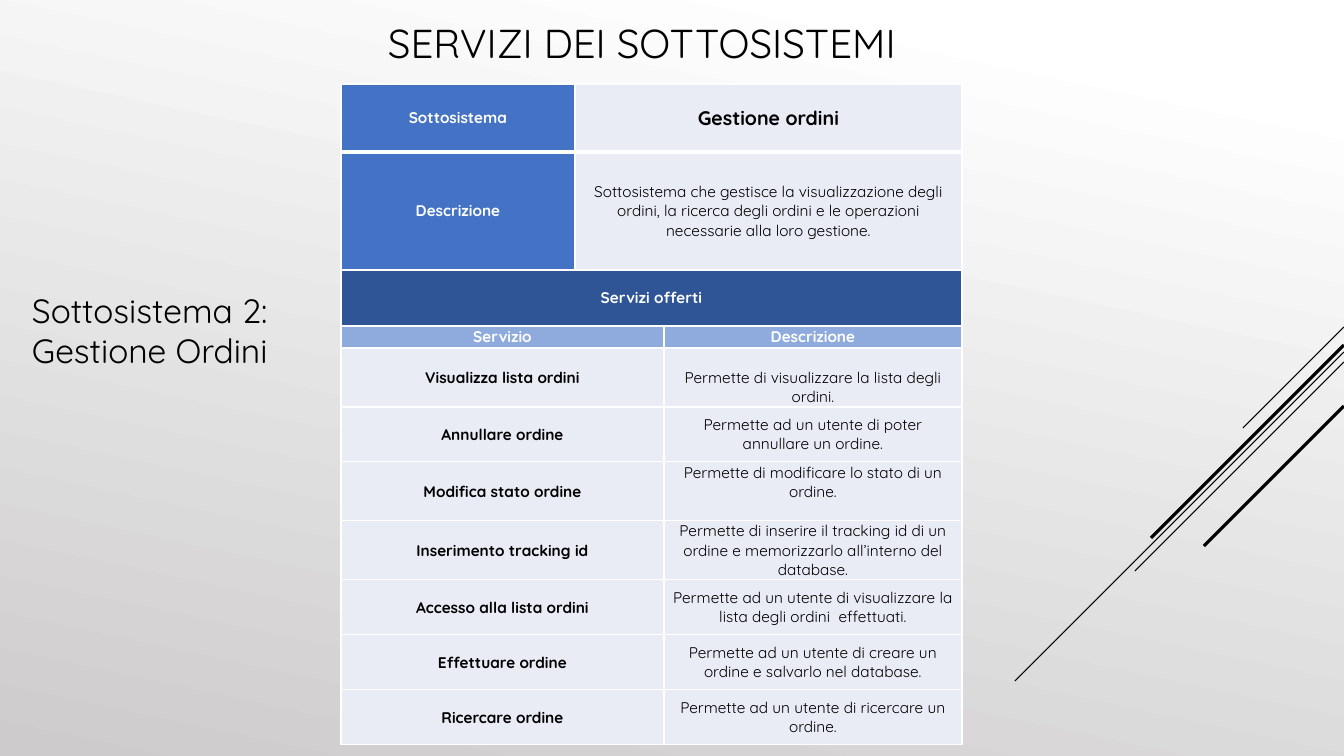
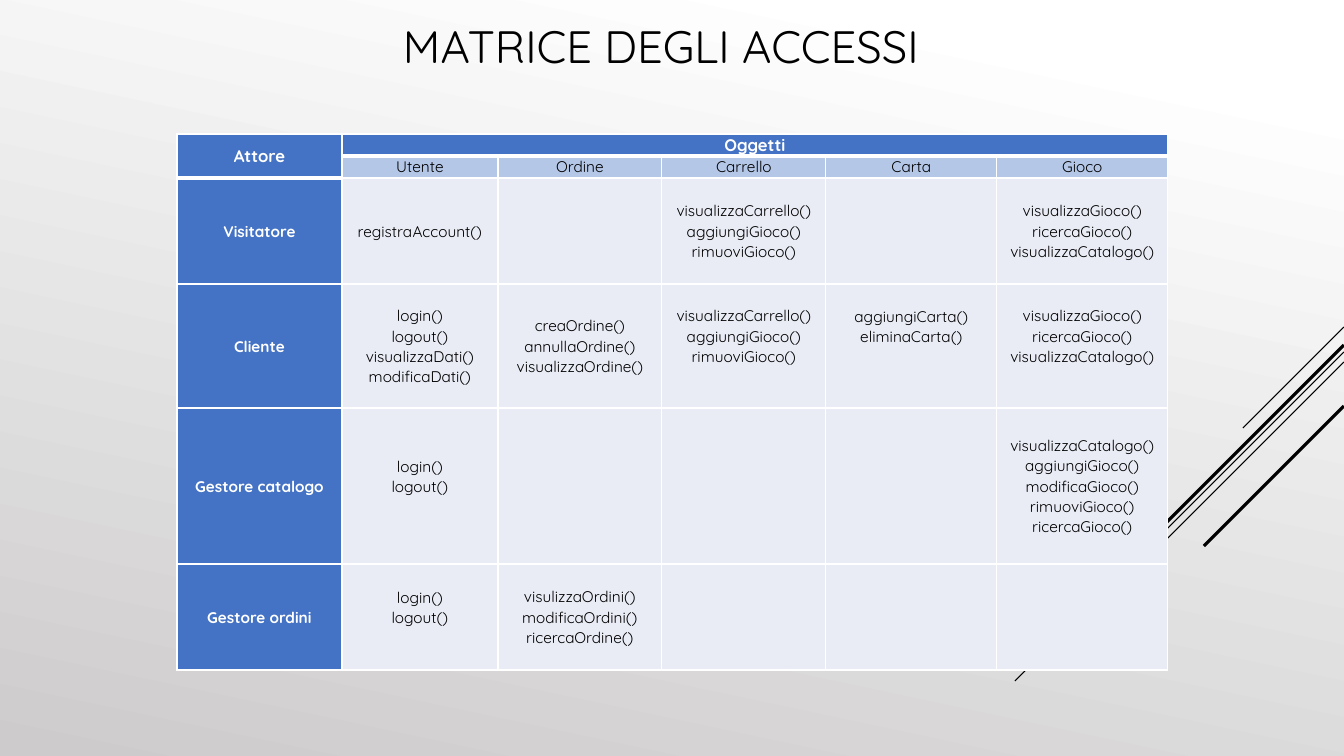
from dataclasses import dataclass

from lxml import etree
from pptx import Presentation
from pptx.dml.color import RGBColor
from pptx.enum.shapes import MSO_CONNECTOR
from pptx.enum.text import MSO_ANCHOR, PP_ALIGN
from pptx.oxml.ns import qn
from pptx.util import Pt

STRAIGHT = MSO_CONNECTOR.STRAIGHT
LEFT, CENTER = PP_ALIGN.LEFT, PP_ALIGN.CENTER
TOP, MIDDLE = MSO_ANCHOR.TOP, MSO_ANCHOR.MIDDLE
SLIDE_W, SLIDE_H = 1344, 756
SCALE = 12192000 / SLIDE_W
BLANK = 6


@dataclass(frozen=True)
class Theme:
    font: str = "Quicksand"
    black: str = "000000"
    white: str = "FFFFFF"
    grey: str = "CDCBCB"
    blue: str = "4472C4"
    navy: str = "2F5597"
    sky: str = "8FAADC"
    pale: str = "B4C7E7"
    ice: str = "E9EBF5"
    title: float = 28.8
    big_title: float = 32.4
    subtitle: int = 24
    name: int = 14
    head: int = 12
    body: int = 11
    thin: float = 0.75
    bold_line: float = 2.25
    border: int = 1
    head_border: int = 3


T = Theme()


@dataclass(frozen=True)
class Style:
    fill: str = T.ice
    color: str = T.black
    bold: bool = False
    size: float = T.body
    anchor: int = MIDDLE
    bottom: int = T.border


BODY = Style()
LABEL = Style(bold=True)
SIDE = Style(T.blue, T.white, True)
SIDE_HEAD = Style(T.blue, T.white, True, bottom=T.head_border)
NAME_HEAD = Style(bold=True, size=T.name, bottom=T.head_border)
BAND = Style(T.navy, T.white, True)
COLUMN_HEAD = Style(T.sky, T.white, True)
ACTOR_HEAD = Style(T.blue, T.white, True, T.head, bottom=T.head_border)
OBJECTS_HEAD = Style(T.blue, T.white, True, T.head, TOP, T.head_border)
OBJECT = Style(T.pale, anchor=TOP)


@dataclass(frozen=True)
class Cell:
    text: str = ""
    style: Style = BODY
    cols: int = 1
    rows: int = 1
    above: int = 0
    below: int = 0


def px(n):
    return round(n * SCALE)


def rgb(color):
    return RGBColor.from_string(color)


def write_text(tf, text, size=T.body, color=T.black, bold=False, align=LEFT, spacing=1.0):
    for i, line in enumerate(text.split("\n")):
        p = tf.paragraphs[0] if i == 0 else tf.add_paragraph()
        p.alignment = align
        p.line_spacing = spacing
        r = p.add_run()
        r.text = line
        r.font.name = T.font
        r.font.size = Pt(size)
        r.font.bold = bold
        r.font.color.rgb = rgb(color)


def add_text_box(s, text, left, top, width, height, size, margins=(10, 5, 10, 5)):
    tf = s.shapes.add_textbox(px(left), px(top), px(width), px(height)).text_frame
    tf.word_wrap = True
    tf.vertical_anchor = MIDDLE
    tf.margin_left, tf.margin_top, tf.margin_right, tf.margin_bottom = map(px, margins)
    write_text(tf, text, size=size)


def add_diagonal(s, top, run, weight):
    line = s.shapes.add_connector(STRAIGHT, px(SLIDE_W), px(top), px(SLIDE_W - run), px(top + run))
    line.line.color.rgb = rgb(T.black)
    line.line.width = Pt(weight)
    etree.SubElement(line._element.spPr, qn("a:effectLst"))


def set_borders(cell, bottom):
    tcPr = cell._tc.get_or_add_tcPr()
    for side in ("lnL", "lnR", "lnT", "lnB"):
        width = bottom if side == "lnB" else T.border
        ln = etree.SubElement(tcPr, qn(f"a:{side}"), w=str(Pt(width)))
        fill = etree.SubElement(ln, qn("a:solidFill"))
        etree.SubElement(fill, qn("a:srgbClr"), val=T.white)


def format_cell(cell, style):
    set_borders(cell, style.bottom)
    cell.fill.solid()
    cell.fill.fore_color.rgb = rgb(style.fill)
    cell.vertical_anchor = style.anchor


def fill_cell(table, row, col, item, spacing):
    style = item.style
    cell = table.cell(row, col)
    if item.cols > 1 or item.rows > 1:
        cell.merge(table.cell(row + item.rows - 1, col + item.cols - 1))
    for y in range(row, row + item.rows):
        for x in range(col, col + item.cols):
            format_cell(table.cell(y, x), style)
    cell.margin_left = cell.margin_right = px(7)
    cell.margin_top, cell.margin_bottom = px(item.above), px(item.below)
    if item.text:
        write_text(cell.text_frame, item.text, size=style.size, color=style.color,
                   bold=style.bold, align=CENTER, spacing=spacing)


def add_grid(s, left, top, widths, heights, rows, spacing=1.0):
    frame = s.shapes.add_table(len(heights), len(widths), px(left), px(top),
                               px(sum(widths)), px(sum(heights)))
    table = frame.table
    table.first_row = table.horz_banding = False
    for column, width in zip(table.columns, widths):
        column.width = px(width)
    for row, height in zip(table.rows, heights):
        row.height = px(height)
    for y, row in enumerate(rows):
        x = 0
        for item in row:
            while table.cell(y, x).is_spanned:
                x += 1
            fill_cell(table, y, x, item, spacing)
            x += item.cols


def set_background(prs):
    fill = prs.slide_master.background.fill
    fill.gradient()
    fill.gradient_angle = 360 - 102
    for stop, position, color in zip(fill.gradient_stops, (0.1, 1), (T.white, T.grey)):
        stop.position = position
        stop.color.rgb = rgb(color)


def new_slide(prs, title, left, width, height, size):
    s = prs.slides.add_slide(prs.slide_layouts[BLANK])
    for top, run, weight in ((327, 101, T.thin), (352, 329, T.thin), (362, 209, T.thin),
                             (345, 193, T.bold_line), (406, 140, T.bold_line)):
        add_diagonal(s, top, run, weight)
    add_text_box(s, title, left, 0, width, height, size)
    return s


def service(name, text, above=0, below=0):
    return [Cell(name, LABEL, cols=2), Cell(text, above=above, below=below)]


def build_services(prs):
    s = new_slide(prs, "SERVIZI DEI SOTTOSISTEMI", 378, 546, 84, T.title)
    line = 19
    rows = [
        [Cell("Sottosistema", SIDE_HEAD), Cell("Gestione ordini", NAME_HEAD, cols=2)],
        [Cell("Descrizione", SIDE),
         Cell("Sottosistema che gestisce la visualizzazione degli ordini, la ricerca degli "
              "ordini e le operazioni necessarie alla loro gestione.", cols=2)],
        [Cell("Servizi offerti", BAND, cols=3, above=6, below=6)],
        [Cell("Servizio", COLUMN_HEAD, cols=2), Cell("Descrizione", COLUMN_HEAD)],
        service("Visualizza lista ordini", "Permette di visualizzare la lista degli ordini.",
                above=line),
        service("Annullare ordine", "Permette ad un utente di poter annullare un ordine."),
        service("Modifica stato ordine", "Permette di modificare lo stato di un ordine.",
                below=line),
        service("Inserimento tracking id", "Permette di inserire il tracking id di un ordine "
                "e memorizzarlo all’interno del database."),
        service("Accesso alla lista ordini", "Permette ad un utente di visualizzare la lista "
                "degli ordini  effettuati."),
        service("Effettuare ordine", "Permette ad un utente di creare un ordine e salvarlo "
                "nel database."),
        service("Ricercare ordine", "Permette ad un utente di ricercare un ordine."),
    ]
    heights = [68, 118, 56, 22, 59, 55, 59, 59, 55, 55, 55]
    add_grid(s, 341, 84, [234, 89, 298], heights, rows)
    add_text_box(s, "Sottosistema 2: Gestione Ordini", 22, 281, 317, 90, T.subtitle,
                 margins=(10, 8, 10, 0))


def build_access_matrix(prs):
    s = new_slide(prs, "MATRICE DEGLI ACCESSI", 393, 558, 90, T.big_title)
    line = 20
    cart = "visualizzaCarrello()\naggiungiGioco()\nrimuoviGioco()"
    games = "visualizzaGioco()\nricercaGioco()\nvisualizzaCatalogo()"
    session = "login()\nlogout()"
    empty = Cell()
    rows = [
        [Cell("Attore", ACTOR_HEAD, rows=2), Cell("Oggetti", OBJECTS_HEAD, cols=5)],
        [Cell(name, OBJECT) for name in ("Utente", "Ordine", "Carrello", "Carta", "Gioco")],
        [Cell("Visitatore", SIDE), Cell("registraAccount()"), empty, Cell(cart), empty,
         Cell(games)],
        [Cell("Cliente", SIDE), Cell(session + "\nvisualizzaDati()\nmodificaDati()"),
         Cell("creaOrdine()\nannullaOrdine()\nvisualizzaOrdine()"), Cell(cart, below=line),
         Cell("aggiungiCarta()\neliminaCarta()", below=2 * line), Cell(games, below=line)],
        [Cell("Gestore catalogo", SIDE), Cell(session, below=line), empty, empty, empty,
         Cell("visualizzaCatalogo()\naggiungiGioco()\nmodificaGioco()\nrimuoviGioco()\n"
              "ricercaGioco()")],
        [Cell("Gestore ordini", SIDE), Cell(session, below=line),
         Cell("visulizzaOrdini()\nmodificaOrdini()\nricercaOrdine()"), empty, empty, empty],
    ]
    add_grid(s, 177, 134, [165, 156, 164, 164, 171, 171], [22, 22, 106, 124, 156, 106], rows,
             spacing=1.05)


def main():
    prs = Presentation()
    prs.slide_width, prs.slide_height = px(SLIDE_W), px(SLIDE_H)
    set_background(prs)
    build_services(prs)
    build_access_matrix(prs)
    prs.save("out.pptx")


if __name__ == "__main__":
    main()
